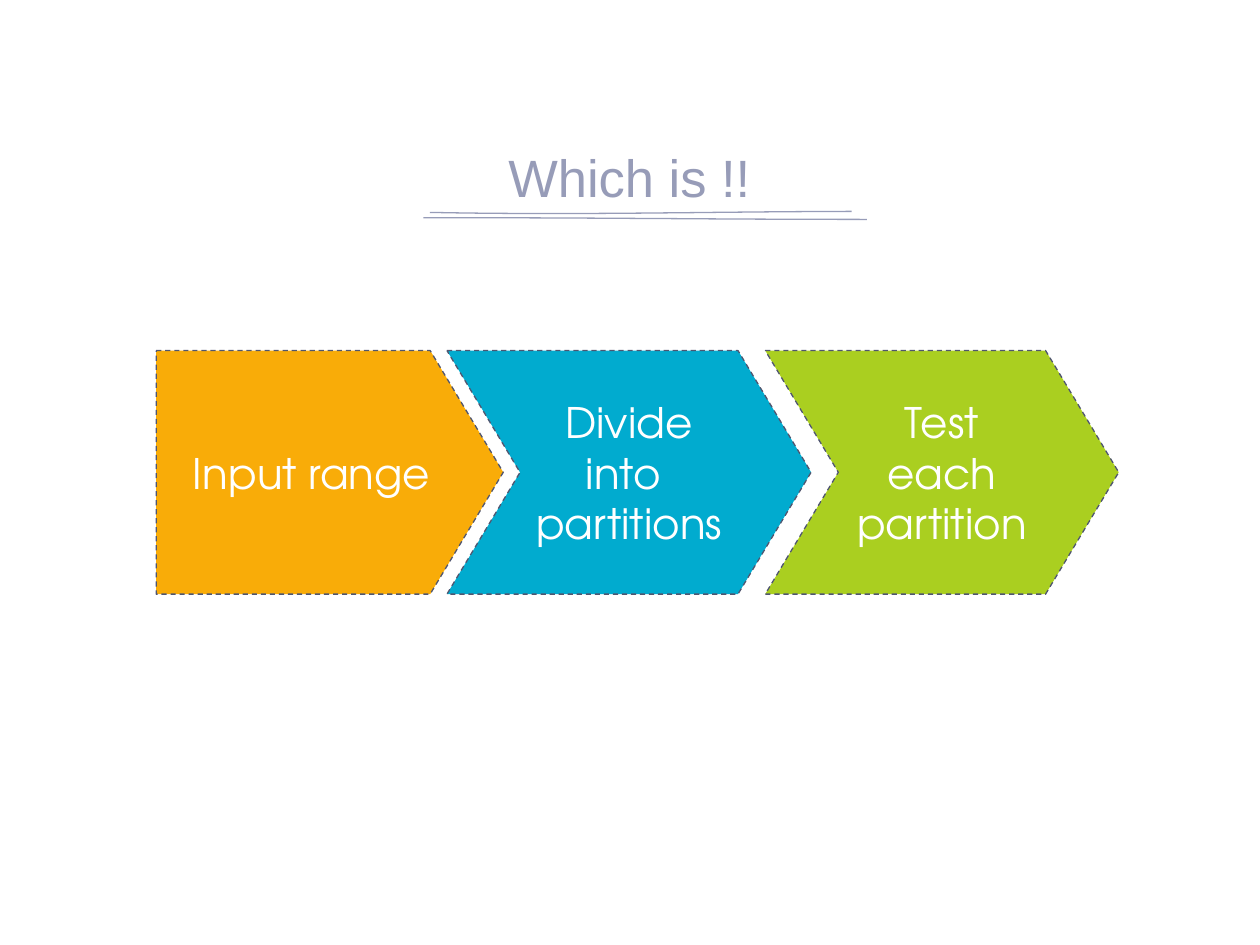
from pptx import Presentation, util as u
from pptx.dml.color import RGBColor
from pptx.enum import dml, shapes, text

Pt = u.Pt
FONT = "TeX Gyre Adventor"
TITLE = "Which is !!"
TITLE_COLOR = "979CB8"
# Underline strokes: start, two control points, end
STROKES = [
    [(245.6, 121.4), (326.2, 123.1), (406.1, 121), (486.7, 120.8)],
    [(241.9, 124.4), (326.2, 124.3), (411.1, 125.4), (495.4, 125.4)],
]
# Steps: shape, left, width, colour, paragraphs
STEPS = [
    (shapes.MSO_SHAPE.PENTAGON, 89.3, 198.3, "F9AC08", ["Input range"]),
    (shapes.MSO_SHAPE.CHEVRON, 255.4, 208.1, "01ABCF", ["Divide into ", "partitions"]),
    (shapes.MSO_SHAPE.CHEVRON, 437.3, 202, "AACF20", ["Test each partition"]),
]
STEP_TOP, STEP_HEIGHT, POINT = 200.3, 139.2, 0.3


def color(value):
    return RGBColor.from_string(value)


def set_line(shape, value):
    shape.shadow.inherit = False
    shape.line.color.rgb = color(value)
    shape.line.width = Pt(0.75)


def write(shape, lines, font, size, value, anchor):
    frame = shape.text_frame
    frame.word_wrap = True
    frame.vertical_anchor = anchor
    frame.margin_left = frame.margin_right = Pt(7.2)
    frame.margin_top = frame.margin_bottom = Pt(7.2)
    for index, line in enumerate(lines):
        para = frame.add_paragraph() if index else frame.paragraphs[0]
        para.text = line
        para.alignment = text.PP_ALIGN.CENTER
        para.font.name = font
        para.font.size = Pt(size)
        para.font.color.rgb = color(value)


def curve_point(points, t):
    weights = ((1 - t) ** 3, 3 * t * (1 - t) ** 2, 3 * t * t * (1 - t), t ** 3)
    return tuple(Pt(sum(w * p[axis] for w, p in zip(weights, points)))
                 for axis in (0, 1))


deck = Presentation()
deck.slide_width, deck.slide_height = Pt(720), Pt(540)
page = deck.slides.add_slide(deck.slide_layouts[6])

# Title underline
for stroke in STROKES:
    start, *rest = [curve_point(stroke, i / 16) for i in range(17)]
    builder = page.shapes.build_freeform(*start)
    builder.add_line_segments(rest, close=False)
    underline = builder.convert_to_shape()
    underline.fill.background()
    set_line(underline, TITLE_COLOR)

# Title
title = page.shapes.add_textbox(Pt(80.7), Pt(54), Pt(558), Pt(72))
write(title, [TITLE], "Arial", 30, TITLE_COLOR, text.MSO_ANCHOR.BOTTOM)

# Process arrows
for kind, left, width, fill, lines in STEPS:
    step = page.shapes.add_shape(kind, Pt(left), Pt(STEP_TOP), Pt(width), Pt(STEP_HEIGHT))
    step.adjustments[0] = POINT
    step.fill.solid()
    step.fill.fore_color.rgb = color(fill)
    set_line(step, "505670")
    step.line.dash_style = dml.MSO_LINE.DASH
    write(step, lines, FONT, 24, "FFFFFF", text.MSO_ANCHOR.MIDDLE)

deck.save("out.pptx")
